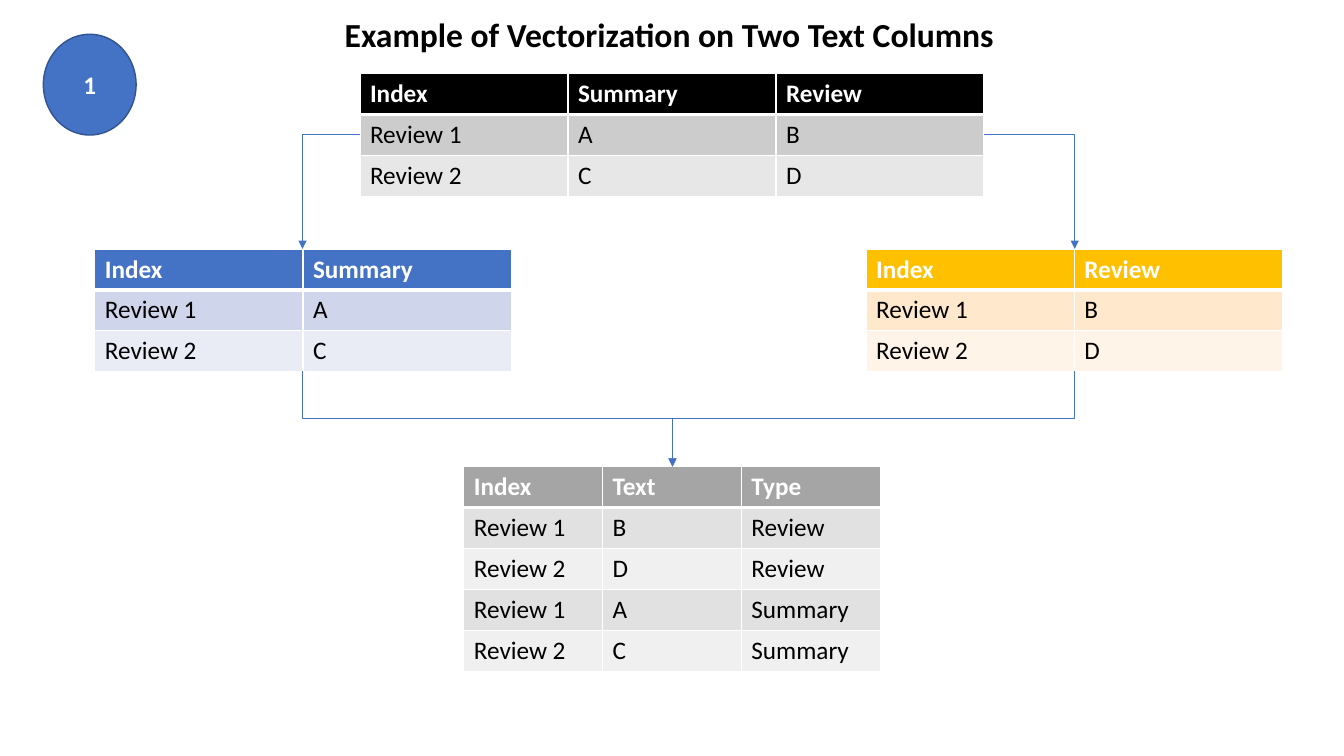
from lxml.etree import SubElement
from pptx import Presentation
from pptx.dml.color import RGBColor
from pptx.enum.shapes import MSO_CONNECTOR, MSO_SHAPE
from pptx.enum.text import MSO_ANCHOR, PP_ALIGN
from pptx.oxml.ns import qn
from pptx.util import Inches, Pt

COLORS = {
    "white": "FFFFFF", "black": "000000", "blue": "4472C4", "outline": "325491",
    "black_dark": "CCCCCC", "black_light": "E7E7E7",
    "blue_dark": "CFD5EA", "blue_light": "E9EBF5",
    "gold": "FFC000", "gold_dark": "FFE8CC", "gold_light": "FFF4E7",
    "gray": "A5A5A5", "gray_dark": "E1E1E1", "gray_light": "F0F0F0",
}


def color(name):
    """Return the named colour."""
    return RGBColor.from_string(COLORS[name])


def write(frame, text, size=18, ink="black", bold=False, align=PP_ALIGN.LEFT):
    """Write one formatted paragraph into a text frame."""
    frame.word_wrap = True
    para = frame.paragraphs[0]
    para.alignment = align
    span = para.add_run()
    span.text = text
    span.font.name = "Calibri"
    span.font.size = Pt(size)
    span.font.bold = bold
    span.font.color.rgb = color(ink)


def add_borders(cell, top=1, bottom=1):
    """Give a cell white borders with the stated top and bottom widths."""
    properties = cell._tc.get_or_add_tcPr()
    for side, width in (("L", 1), ("R", 1), ("T", top), ("B", bottom)):
        line = SubElement(properties, qn(f"a:ln{side}"), w=str(Pt(width)))
        fill = SubElement(line, qn("a:solidFill"))
        SubElement(fill, qn("a:srgbClr"), val=COLORS["white"])


def add_grid(slide, left, top, width, height, theme, rows):
    """Add a table with a coloured header and banded rows."""
    table = slide.shapes.add_table(
        len(rows), len(rows[0]), Inches(left), Inches(top), Inches(width), Inches(height)
    ).table
    for row, values in enumerate(rows):
        header = row == 0
        shade = theme if header else theme + ("_dark" if row % 2 else "_light")
        for column, value in enumerate(values):
            cell = table.cell(row, column)
            add_borders(cell, top=3 if row == 1 else 1, bottom=3 if header else 1)
            cell.fill.solid()
            cell.fill.fore_color.rgb = color(shade)
            write(cell.text_frame, value, ink="white" if header else "black", bold=header)


def add_elbow(slide, start, end, bends):
    """Add an elbow arrow that leaves sideways (one bend) or downwards (two bends)."""
    (x1, y1), (x2, y2) = start, end
    width, height = abs(x2 - x1), y2 - y1
    leftward = x2 < x1
    if bends == 1:
        rotation, flip = (180, "flipV") if leftward else (0, None)
    else:
        width, height = height, width
        rotation, flip = (90, None) if leftward else (270, "flipH")
    left, top = (x1 + x2 - width) / 2, (y1 + y2 - height) / 2
    arrow = slide.shapes.add_connector(
        MSO_CONNECTOR.ELBOW, Inches(left), Inches(top), Inches(left + width), Inches(top + height)
    )
    arrow.line.color.rgb = color("blue")
    arrow.line.width = Pt(0.5)
    properties = arrow.element.spPr
    properties.find(qn("a:prstGeom")).set("prst", f"bentConnector{bends + 1}")
    transform = properties.find(qn("a:xfrm"))
    transform.set("rot", str(rotation * 60000))
    if flip:
        transform.set(flip, "1")
    SubElement(properties.find(qn("a:ln")), qn("a:tailEnd"), type="triangle")
    SubElement(properties, qn("a:effectLst"))


def add_badge(slide, text, left, top, width, height):
    """Add a numbered ellipse."""
    badge = slide.shapes.add_shape(
        MSO_SHAPE.OVAL, Inches(left), Inches(top), Inches(width), Inches(height)
    )
    badge.shadow.inherit = False
    badge.fill.solid()
    badge.fill.fore_color.rgb = color("blue")
    badge.line.color.rgb = color("outline")
    badge.line.width = Pt(1)
    badge.text_frame.vertical_anchor = MSO_ANCHOR.MIDDLE
    write(badge.text_frame, text, ink="white", bold=True, align=PP_ALIGN.CENTER)


def add_title(slide, text, left, top, width, height):
    """Add the slide heading."""
    box = slide.shapes.add_textbox(Inches(left), Inches(top), Inches(width), Inches(height))
    write(box.text_frame, text, size=24, bold=True)


def main():
    """Build and save the vectorization slide."""
    deck = Presentation()
    deck.slide_width, deck.slide_height = Inches(13.33), Inches(7.5)
    slide = deck.slides.add_slide(deck.slide_layouts[6])

    add_grid(slide, 3.57, 0.73, 6.19, 1.22, "black", [
        ("Index", "Summary", "Review"), ("Review 1", "A", "B"), ("Review 2", "C", "D")])
    add_grid(slide, 0.94, 2.47, 4.13, 1.22, "blue", [
        ("Index", "Summary"), ("Review 1", "A"), ("Review 2", "C")])
    add_grid(slide, 8.59, 2.47, 4.13, 1.22, "gold", [
        ("Index", "Review"), ("Review 1", "B"), ("Review 2", "D")])
    add_grid(slide, 4.6, 4.63, 4.13, 2.03, "gray", [
        ("Index", "Text", "Type"),
        ("Review 1", "B", "Review"), ("Review 2", "D", "Review"),
        ("Review 1", "A", "Summary"), ("Review 2", "C", "Summary")])

    for source_edge, middle in ((9.76, 10.66), (3.57, 3)):
        add_elbow(slide, (source_edge, 1.33), (middle, 2.47), bends=1)
        add_elbow(slide, (middle, 3.68), (6.67, 4.63), bends=2)

    add_badge(slide, "1", 0.43, 0.34, 0.92, 1)
    add_title(slide, "Example of Vectorization on Two Text Columns", 3.32, 0.09, 7.63, 0.5)
    deck.save("out.pptx")


if __name__ == "__main__":
    main()
